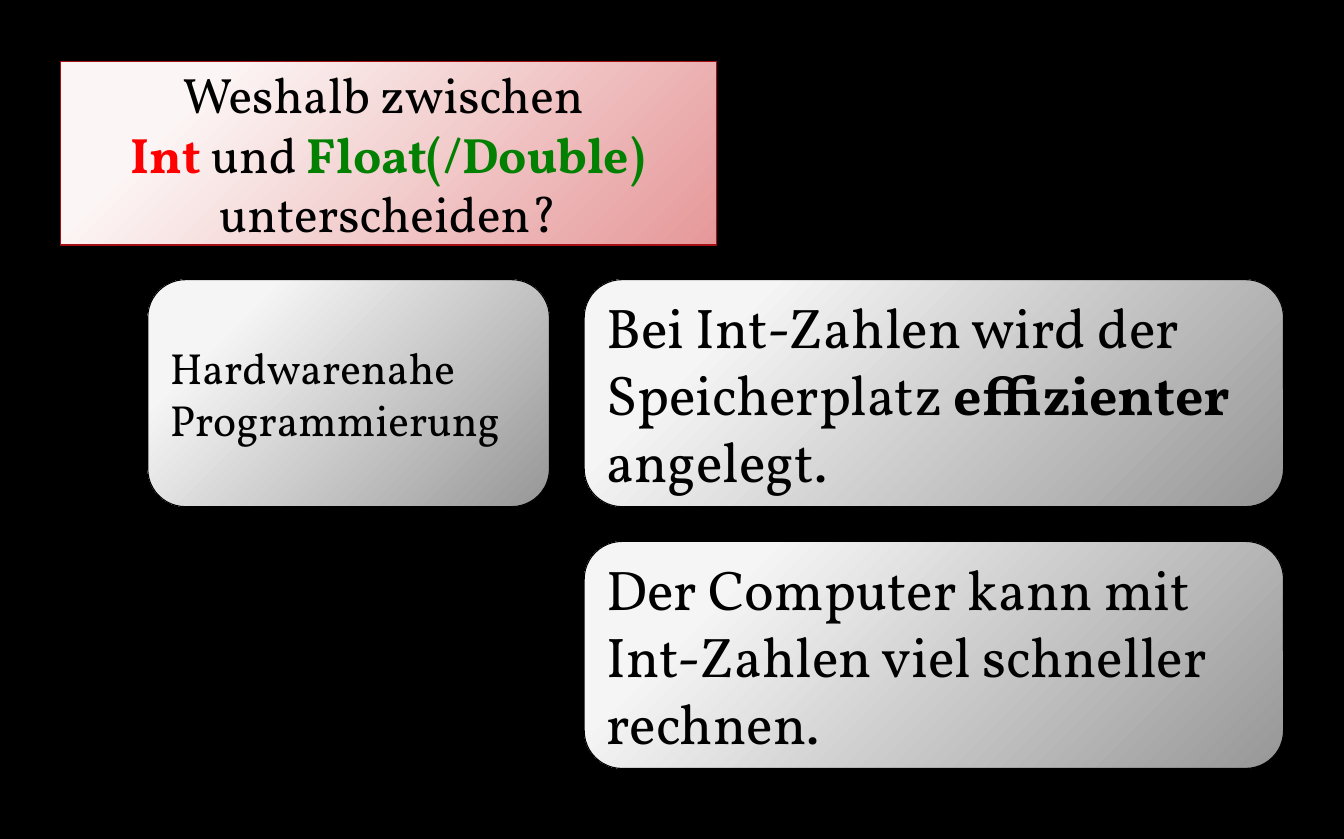
from lxml.etree import SubElement
from pptx import Presentation
from pptx.dml.color import RGBColor
from pptx.enum.shapes import MSO_SHAPE
from pptx.enum.text import MSO_ANCHOR, MSO_AUTO_SIZE, PP_ALIGN
from pptx.oxml.ns import qn
from pptx.util import Inches, Pt

COLORS = {
    "black": "000000", "int": "FF0000", "float": "028002",
    "rose_light": "FCF5F5", "rose_dark": "E69899", "rose_edge": "A51017",
    "gray_light": "F5F5F5", "gray_dark": "979797",
}
ROSE = ("rose_light", "rose_dark", "rose_edge")
GRAY = ("gray_light", "gray_dark", "black")

# Each paragraph is a list of (text, color, bold) spans.
QUESTION = [
    [("Weshalb zwischen ", "black", False)],
    [("Int ", "int", True), ("und ", "black", False),
     ("Float(/Double) ", "float", True), ("unterscheiden?", "black", False)],
]
TOPIC = [[("Hardwarenahe Programmierung", "black", False)]]
MEMORY = [[("Bei Int-Zahlen wird der Speicherplatz ", "black", False),
           ("effizienter", "black", True), (" angelegt.", "black", False)]]
SPEED = [[("Der Computer kann mit Int-Zahlen viel schneller rechnen.", "black", False)]]

# Grid in inches: columns are (left, width), rows are tops.
TOPIC_COLUMN, REASON_COLUMN = (1.32, 3.59), (5.22, 6.25)
ROW_HEIGHT, ROW_GAP, FIRST_ROW = 2.03, 0.31, 2.5
# (column, row, font size, paragraphs)
CARDS = [
    (REASON_COLUMN, 0, 36, MEMORY),
    (TOPIC_COLUMN, 0, 28, TOPIC),
    (REASON_COLUMN, 1, 36, SPEED),
]


def rgb(name):
    return RGBColor.from_string(COLORS[name])


def place(box, left, top, width, height):
    box.left, box.top = Inches(left), Inches(top)
    box.width, box.height = Inches(width), Inches(height)


def round_corners(placeholder):
    """Give a placeholder the rounded rectangle outline."""
    properties = placeholder._element.spPr
    geometry = SubElement(properties, qn("a:prstGeom"), prst="roundRect")
    SubElement(geometry, qn("a:avLst"))
    properties.find(qn("a:xfrm")).addnext(geometry)


def paint(box, palette):
    """Fill with a circular gradient from the top left corner and draw the edge."""
    light, dark, edge = palette
    box.fill.gradient()
    for stop, position, name in zip(box.fill.gradient_stops, (0.2, 1), (light, dark)):
        stop.position = position
        stop.color.rgb = rgb(name)
    gradient = box._element.spPr.find(qn("a:gradFill"))
    gradient.remove(gradient.find(qn("a:lin")))
    circle = SubElement(gradient, qn("a:path"), path="circle")
    SubElement(circle, qn("a:fillToRect"), l="-15000", t="-15000", r="115000", b="115000")
    box.line.color.rgb = rgb(edge)
    box.line.width = Pt(0.75)


def write(box, paragraphs, size, alignment):
    frame = box.text_frame
    frame.word_wrap = True
    frame.auto_size = MSO_AUTO_SIZE.NONE
    frame.vertical_anchor = MSO_ANCHOR.MIDDLE
    for index, spans in enumerate(paragraphs):
        para = frame.add_paragraph() if index else frame.paragraphs[0]
        para.alignment = alignment
        para.font.name = "Vollkorn"
        para.font.size = Pt(size)
        for text, color, bold in spans:
            span = para.add_run()
            span.text = text
            span.font.color.rgb = rgb(color)
            span.font.bold = bold


def main():
    deck = Presentation()
    deck.slide_width, deck.slide_height = Inches(12.01), Inches(7.5)
    page = deck.slides.add_slide(deck.slide_layouts[5])
    page.background.fill.solid()
    page.background.fill.fore_color.rgb = rgb("black")

    title = page.shapes.title
    place(title, 0.54, 0.55, 5.86, 1.64)
    round_corners(title)
    paint(title, ROSE)
    write(title, QUESTION, 32, PP_ALIGN.CENTER)

    for (left, width), row, size, paragraphs in CARDS:
        top = FIRST_ROW + row * (ROW_HEIGHT + ROW_GAP)
        card = page.shapes.add_shape(MSO_SHAPE.ROUNDED_RECTANGLE, 0, 0, 0, 0)
        place(card, left, top, width, ROW_HEIGHT)
        card.shadow.inherit = False
        paint(card, GRAY)
        write(card, paragraphs, size, PP_ALIGN.LEFT)

    deck.save("out.pptx")


if __name__ == "__main__":
    main()
